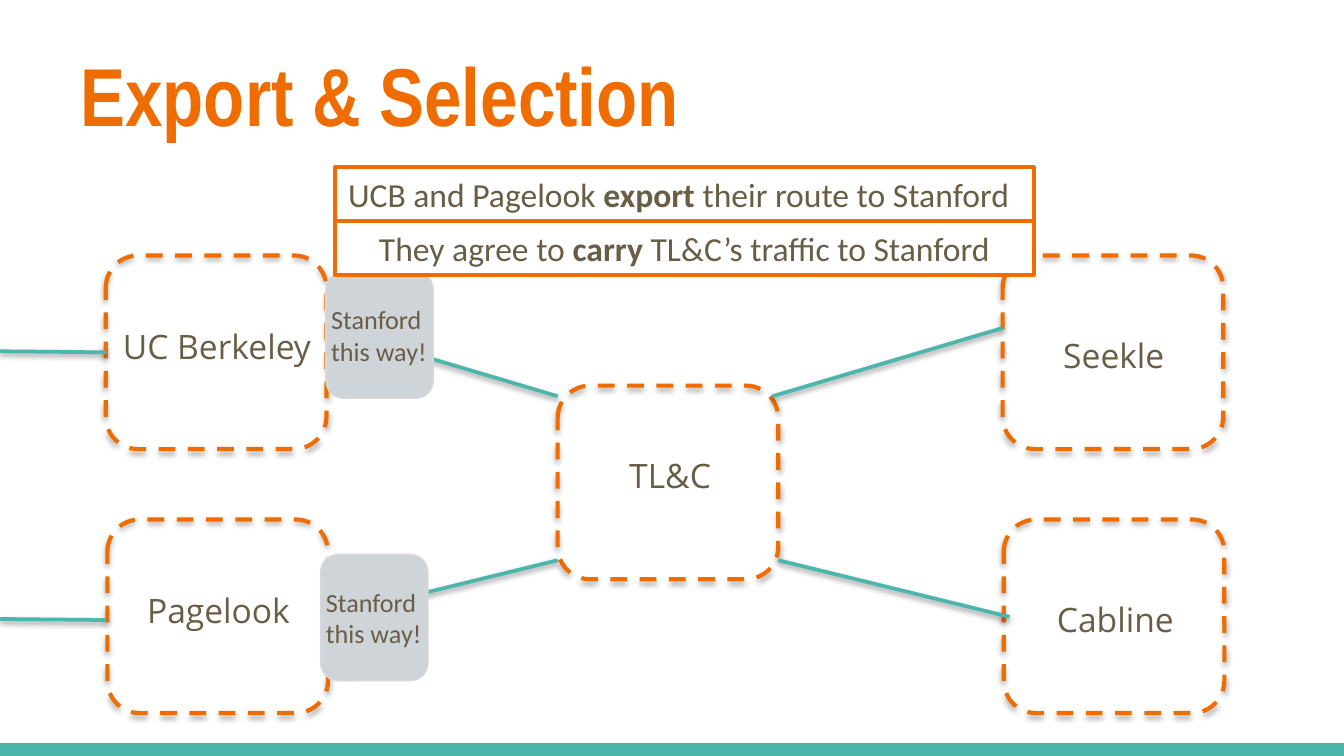
from lxml.etree import SubElement
from pptx import Presentation
from pptx.dml.color import RGBColor
from pptx.enum.dml import MSO_LINE_DASH_STYLE as Dash
from pptx.enum.shapes import MSO_CONNECTOR as Connector, MSO_SHAPE as Shape
from pptx.enum.text import MSO_ANCHOR as Anchor, PP_ALIGN as Align
from pptx.oxml.ns import qn
from pptx.util import Cm, Pt

COLORS = {
    "orange": "EF6C00", "teal": "4DB6AC", "text": "695D46", "white": "FFFFFF",
    "badge": "CFD4D9", "badge_line": "D8D8D8", "shadow": "000000",
}
NODE_W, NODE_H = 4.17, 3.66
LABEL_H = 1.02
BANNER_W, BANNER_H = 13.21, 1.02


def rgb(name):
    return RGBColor.from_string(COLORS[name])


class NetworkSlide:
    """Holds the style and the current slide."""

    body_font = "Calibri"
    label_font = "Open Sans"
    title_font = "Arial Narrow"

    def __init__(self, slide):
        self.slide = slide
        self.shapes = slide.shapes

    def style_font(self, font, name, size, color="text", bold=False):
        font.name, font.size, font.bold = name, Pt(size), bold
        font.color.rgb = rgb(color)

    def style_line(self, line, color, width):
        line.color.rgb = rgb(color)
        line.width = Pt(width)

    def drop_shadow(self, shape, opacity, distance):
        effects = SubElement(shape._element.spPr, qn("a:effectLst"))
        shadow = SubElement(effects, qn("a:outerShdw"), blurRad=str(Pt(3.1)),
                            dist=str(Pt(distance)), dir="5400000", rotWithShape="0")
        color = SubElement(shadow, qn("a:srgbClr"), val=COLORS["shadow"])
        SubElement(color, qn("a:alpha"), val=str(opacity * 1000))

    def title(self, text):
        title = self.shapes.title
        title.left, title.top, title.width, title.height = Cm(1.27), Cm(0.58), Cm(22.86), Cm(2.39)
        frame = title.text_frame
        frame.text = text
        frame.vertical_anchor = Anchor.MIDDLE
        frame.paragraphs[0].alignment = Align.LEFT
        self.style_font(frame.paragraphs[0].runs[0].font, self.title_font, 44, "orange", True)

    def link(self, x1, y1, x2, y2, width=2):
        link = self.shapes.add_connector(Connector.STRAIGHT, Cm(x1), Cm(y1), Cm(x2), Cm(y2))
        self.style_line(link.line, "teal", width)
        self.drop_shadow(link, 38, 1.6)

    def node(self, left, top):
        node = self.shapes.add_shape(Shape.ROUNDED_RECTANGLE, Cm(left), Cm(top),
                                     Cm(NODE_W), Cm(NODE_H))
        node.fill.background()
        self.style_line(node.line, "orange", 2.25)
        node.line.dash_style = Dash.DASH
        self.drop_shadow(node, 35, 1.8)

    def label(self, text, left, top, width):
        label = self.shapes.add_textbox(Cm(left), Cm(top), Cm(width), Cm(LABEL_H))
        label.text_frame.text = text
        label.text_frame.word_wrap = False
        paragraph = label.text_frame.paragraphs[0]
        paragraph.alignment = Align.CENTER
        self.style_font(paragraph.runs[0].font, self.label_font, 18)

    def badge(self, text, left, top):
        badge = self.shapes.add_shape(Shape.ROUNDED_RECTANGLE, Cm(left), Cm(top),
                                      Cm(2.03), Cm(2.39))
        badge.shadow.inherit = False
        badge.fill.solid()
        badge.fill.fore_color.rgb = rgb("badge")
        self.style_line(badge.line, "badge_line", 0.75)
        frame = badge.text_frame
        frame.margin_left = frame.margin_right = frame.margin_top = frame.margin_bottom = 0
        frame.word_wrap = True
        frame.vertical_anchor = Anchor.MIDDLE
        frame.text = text
        frame.paragraphs[0].alignment = Align.LEFT
        self.style_font(frame.paragraphs[0].runs[0].font, self.body_font, 14)

    def banner(self, before, keyword, after, top, alignment):
        banner = self.shapes.add_shape(Shape.RECTANGLE, Cm(6.33), Cm(top),
                                       Cm(BANNER_W), Cm(BANNER_H))
        banner.shadow.inherit = False
        banner.fill.solid()
        banner.fill.fore_color.rgb = rgb("white")
        self.style_line(banner.line, "orange", 2)
        frame = banner.text_frame
        frame.word_wrap = True
        frame.vertical_anchor = Anchor.TOP
        paragraph = frame.paragraphs[0]
        paragraph.alignment = alignment
        for text in (before, keyword, after):
            run = paragraph.add_run()
            run.text = text
            self.style_font(run.font, self.body_font, 18, bold=text == keyword)


def main():
    deck = Presentation()
    deck.slide_width, deck.slide_height = Cm(25.4), Cm(14.29)
    page = NetworkSlide(deck.slides.add_slide(deck.slide_layouts[5]))

    # Bottom bar and title
    page.link(0, 14.22, 25.4, 14.22, width=10)
    page.title("Export & Selection")

    # Networks: node left and top, then label left, top and width
    networks = [
        ("UC Berkeley", 2.0, 4.83, 2.03, 6.04, 4.14),
        ("TL&C", 10.54, 7.29, 11.61, 8.48, 2.11),
        ("Seekle", 18.95, 4.83, 19.74, 6.2, 2.62),
        ("Cabline", 18.97, 9.82, 19.53, 11.2, 3.1),
        ("Pagelook", 2.03, 9.82, 2.44, 11.02, 3.38),
    ]
    for name, left, top, label_left, label_top, label_width in networks:
        page.node(left, top)
        page.label(name, label_left, label_top, label_width)

    # Links between the networks and off to the left
    links = [
        (6.2, 6.2, 10.54, 7.49),
        (6.17, 11.66, 10.54, 10.59),
        (19.08, 11.66, 14.71, 10.59),
        (18.95, 6.2, 14.6, 7.49),
        (2.01, 6.66, 0, 6.64),
        (2.01, 11.72, 0, 11.7),
    ]
    for ends in links:
        page.link(*ends)

    # Route announcements
    for left, top in [(6.06, 10.48), (6.16, 5.14)]:
        page.badge("Stanford this way!", left, top)

    # Explanation
    banner_top = 3.16
    page.banner("UCB and Pagelook ", "export", " their route to Stanford",
                banner_top, Align.LEFT)
    page.banner("They agree to ", "carry", " TL&C’s traffic to Stanford",
                banner_top + BANNER_H, Align.CENTER)

    deck.save("out.pptx")


if __name__ == "__main__":
    main()
